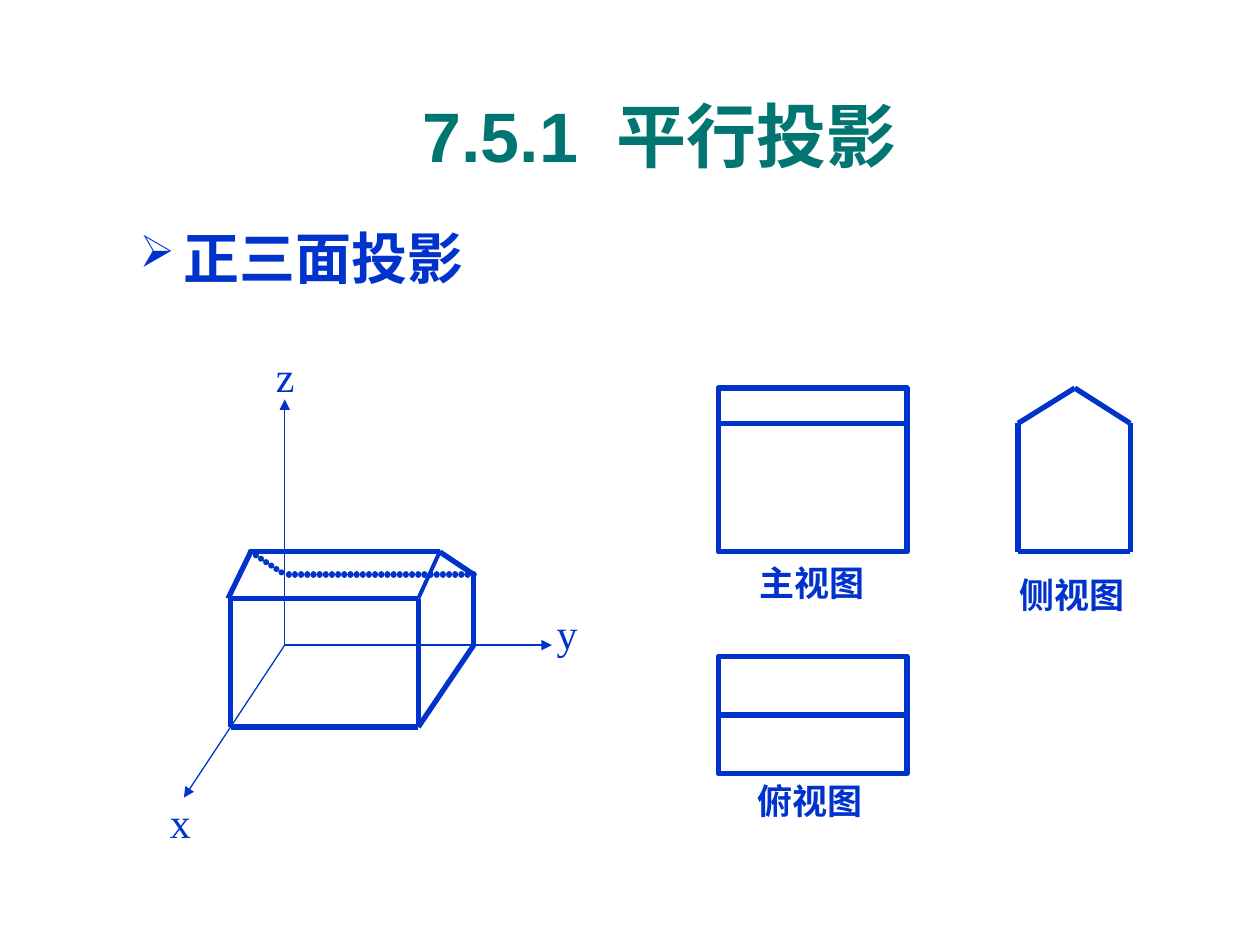
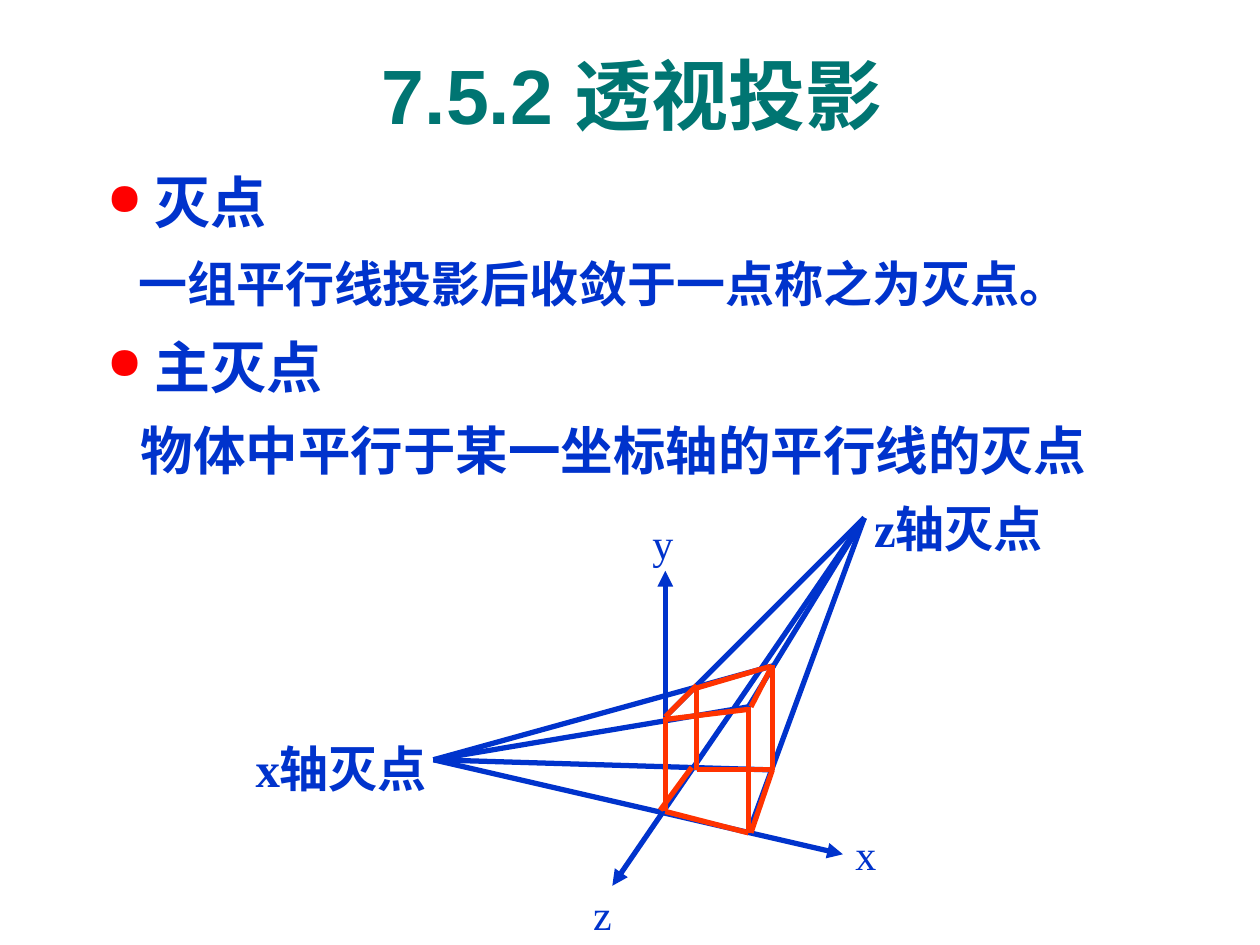
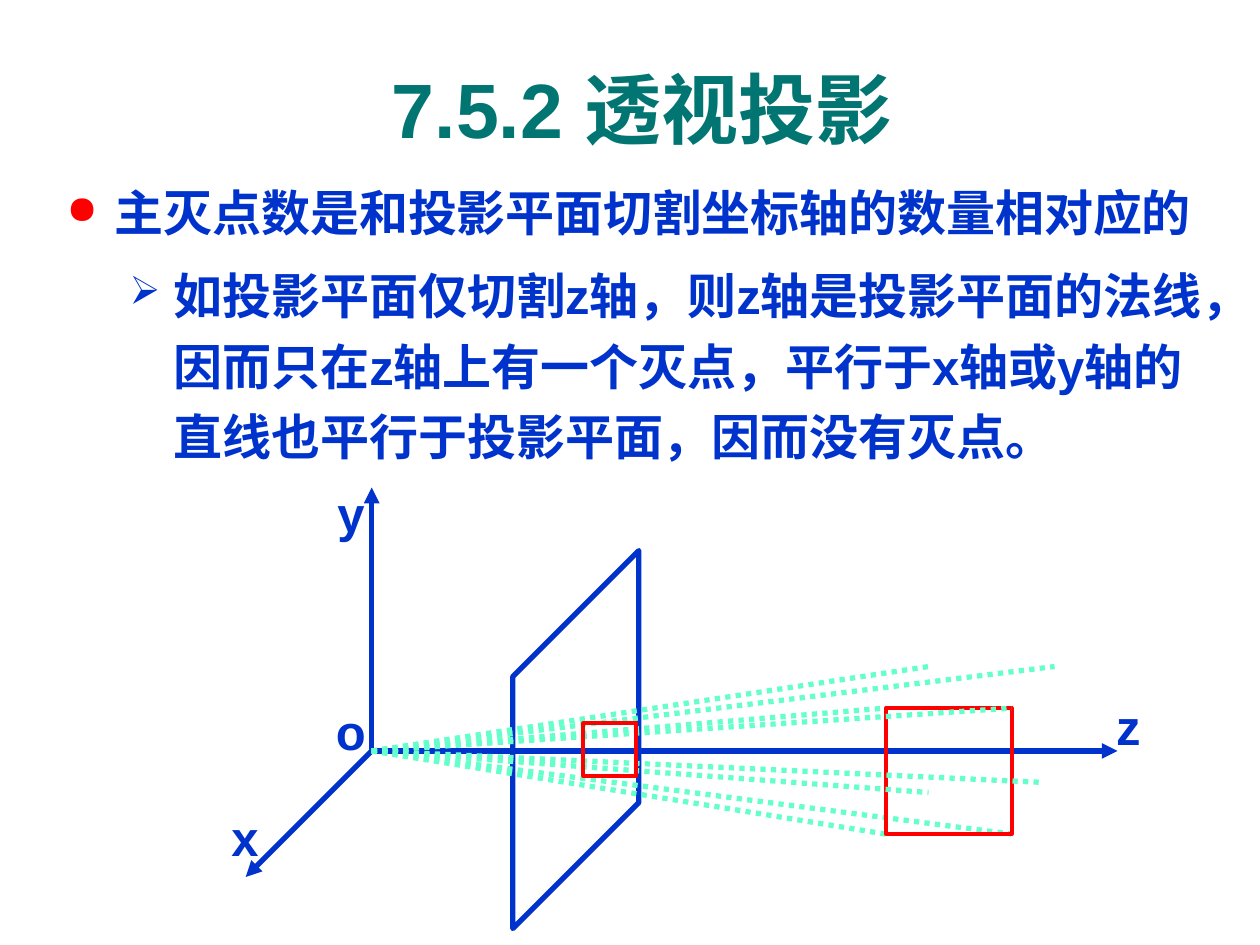
import itertools

import pptx
import pptx.dml.color
import pptx.enum.shapes
import pptx.enum.text
import pptx.oxml
import pptx.util
from pptx.util import Inches

BLUE, TEAL, RED, ORANGE, MINT = "0033CC", "007572", "FF0000", "FF3300", "66FFCC"
SANS, SERIF = "Arial", "Times New Roman"
NS = 'xmlns:a="http://schemas.openxmlformats.org/drawingml/2006/main"'

# Titles: box, size, number, name, extra width of the gap between them
PARALLEL_TITLE = ((1.22, 0.68, 8.03, 0.77), 40, "7.5.1", "平行投影", 11)
PERSPECTIVE_TITLES = [
    (box, 44, "7.5.2", "透视投影", 0)
    for box in [(0.35, 0.33, 9.34, 0.83), (0.43, 0.44, 9.34, 0.83)]
]

# Bullets: character, colour, left margin, first-line indent
DOT = ("●", RED, 0.38, -0.38)
ARROW = ("➢", BLUE, 0.85, -0.35)

# Body paragraphs: text, size, bullet or plain left margin, space before
PARALLEL_BODY = [("正三面投影", 32, ARROW, 0)]
VANISHING_BODY = [
    ("灭点", 32, DOT, 0),
    ("一组平行线投影后收敛于一点称之为灭点。", 28, 0.25, 7),
    ("主灭点", 32, DOT, 8),
    ("物体中平行于某一坐标轴的平行线的灭点", 30, 0.27, 7),
]
ONE_POINT_BODY = [
    ("主灭点数是和投影平面切割坐标轴的数量相对应的", 28, DOT, 0),
    ("如投影平面仅切割z轴，则z轴是投影平面的法线，因而只在z轴上有一个灭点，"
     "平行于x轴或y轴的直线也平行于投影平面，因而没有灭点。", 28, ARROW, 7),
]

# Slide 1: three views and the house they show
VIEW_NAMES = [
    ("主视图", (5.93, 4.41, 1.33, 0.44)),
    ("侧视图", (7.99, 4.5, 1.33, 0.44)),
    ("俯视图", (5.91, 6.14, 1.41, 0.44)),
]
FRONT_WALL = (5.7, 3.36, 1.5, 1.02)
FRONT_ROOF = (5.7, 3.08, 1.5, 0.28)
TOP_VIEW = (5.7, 5.21, 1.5, 0.93)
SIDE_VIEW = [(8.08, 3.36), (8.08, 4.38), (8.97, 4.38), (8.97, 3.36),
             (8.53, 3.08), (8.08, 3.36)]
HOUSE_ORIGIN = (2.26, 5.12)
HOUSE_AXES = [
    ("z", (2.26, 3.17), (2.09, 2.73, 0.35, 0.5)),
    ("y", (4.38, 5.12), (4.32, 4.77, 0.44, 0.5)),
    ("x", (1.46, 6.33), (1.25, 6.27, 0.35, 0.5)),
]
HOUSE_FRONT = [(1.83, 4.75), (1.83, 5.77), (3.32, 5.77), (3.32, 4.75), (1.81, 4.75)]
HOUSE_BACK = [(1.81, 4.75), (1.99, 4.38), (3.49, 4.38), (3.76, 4.56),
              (3.76, 5.12), (3.32, 5.77)]
HOUSE_GABLE = [(3.32, 4.75), (3.49, 4.38)]
HOUSE_HIDDEN = [[(1.99, 4.38), (2.26, 4.56)], [(3.76, 4.56), (2.25, 4.56)]]

# Slide 2: rays to both vanishing points, and the box
X_VANISHING, Z_VANISHING = (3.44, 6.03), (6.86, 4.11)
X_RAYS = [(5.94, 5.61), (6.15, 5.28), (6.11, 6.11)]
Z_RAYS = [(5.28, 5.69), (5.94, 5.61), (5.94, 6.61)]
VANISHING_AXES = [
    ("y", (5.28, 6.44), (5.28, 4.53), (5.08, 4.06, 0.42, 0.5)),
    ("z", Z_VANISHING, (4.86, 7.03), (4.61, 7, 0.42, 0.5)),
    ("x", X_VANISHING, (6.69, 6.78), (6.69, 6.53, 0.42, 0.5)),
]
VANISHING_NAMES = [
    ("z轴灭点", (6.84, 3.91, 1.7, 0.57)),
    ("x轴灭点", (1.93, 5.81, 1.74, 0.57)),
]
BOX_EDGES = [
    [(5.28, 6.44), (5.94, 6.61), (5.94, 5.61)],
    [(5.28, 5.71), (5.94, 5.63)],
    [(5.24, 6.43), (5.49, 6.09)],
    [(5.28, 6.44), (5.28, 5.69), (5.53, 5.44), (5.53, 6.11), (6.11, 6.11)],
    [(5.53, 5.46), (6.11, 5.29)],
    [(5.96, 5.61), (6.13, 5.28), (6.13, 6.11), (5.96, 6.61)],
]

# Slide 3: one-point perspective
EYE = (2.95, 5.96)
EYE_AXES = [
    ("y", (2.95, 3.87), (2.37, 3.79, 0.83, 0.57)),
    ("z", (8.87, 5.96), (8.54, 5.48, 0.83, 0.57)),
    ("x", (1.95, 6.96), (1.53, 6.36, 0.83, 0.57)),
]
EYE_NAME = ("o", (2.37, 5.52, 0.83, 0.57))
PROJECTION_PLANE = [(4.07, 7.37), (5.07, 6.37), (5.07, 4.37), (4.07, 5.37)]
RAYS_BEHIND = [(7.03, 6.62), (8.03, 6.62), (7.03, 5.62)]
RAYS_ABOVE = [(7.37, 5.29), (8.28, 6.21), (8.03, 5.62), (8.37, 5.29), (7.37, 6.29)]
FACE = (7.03, 5.62, 1, 1)
PROJECTED_FACE = (4.63, 5.74, 0.42, 0.42)


def rgb(color):
    return pptx.dml.color.RGBColor.from_string(color)


def add_xml(parent, xml):
    parent.append(pptx.oxml.parse_xml(xml.replace("/>", f" {NS}/>", 1)
                                      if xml.count("<") == 1
                                      else xml.replace(">", f" {NS}>", 1)))


def add_box(slide, box):
    frame = slide.shapes.add_textbox(*map(Inches, box)).text_frame
    frame.word_wrap = True
    return frame


def add_run(paragraph, text, size, color=BLUE, font=SANS, bold=True, spacing=0):
    run = paragraph.add_run()
    run.text = text
    run.font.size = pptx.util.Pt(size)
    run.font.name = font
    run.font.bold = bold
    run.font.color.rgb = rgb(color)
    properties = run._r.get_or_add_rPr()
    properties.set("lang", "zh-CN")
    if spacing:
        properties.set("spc", str(spacing * 100))


def add_title(slide, box, size, number, name, gap):
    frame = add_box(slide, box)
    frame.vertical_anchor = pptx.enum.text.MSO_ANCHOR.MIDDLE
    paragraph = frame.paragraphs[0]
    paragraph.alignment = pptx.enum.text.PP_ALIGN.CENTER
    for text, spacing in [(number, 0), (" ", gap), (name, 0)]:
        add_run(paragraph, text, size, TEAL, spacing=spacing)


def add_body(slide, box, items, line_spacing):
    frame = add_box(slide, box)
    for index, (text, size, bullet, before) in enumerate(items):
        paragraph = frame.add_paragraph() if index else frame.paragraphs[0]
        properties = paragraph._p.get_or_add_pPr()
        margin, indent = bullet, 0
        if isinstance(bullet, tuple):
            character, color, margin, indent = bullet
            add_xml(properties, f'<a:buClr><a:srgbClr val="{color}"/></a:buClr>')
            add_xml(properties, '<a:buSzPct val="80000"/>')
            add_xml(properties, f'<a:buChar char="{character}"/>')
        properties.set("marL", str(Inches(margin)))
        properties.set("indent", str(Inches(indent)))
        paragraph.line_spacing = line_spacing
        paragraph.space_before = pptx.util.Pt(before)
        add_run(paragraph, text, size)


def add_label(slide, text, box, size, font=SERIF, bold=True, centred=False):
    paragraph = add_box(slide, box).paragraphs[0]
    if centred:
        paragraph.alignment = pptx.enum.text.PP_ALIGN.CENTER
    add_run(paragraph, text, size, font=font, bold=bold)


def outline(shape, color, width):
    shape.shadow.inherit = False
    shape.fill.background()
    shape.line.color.rgb = rgb(color)
    shape.line.width = pptx.util.Pt(width)
    return shape


def add_rectangle(slide, box, color=BLUE, width=3):
    kind = pptx.enum.shapes.MSO_SHAPE.RECTANGLE
    return outline(slide.shapes.add_shape(kind, *map(Inches, box)), color, width)


def add_line(slide, start, end, color=BLUE, width=3, dash="", arrow=False, cap="flat"):
    line = slide.shapes.add_connector(
        pptx.enum.shapes.MSO_CONNECTOR.STRAIGHT, *map(Inches, start + end))
    line.line.color.rgb = rgb(color)
    line.line.width = pptx.util.Pt(width)
    stroke = line.line._get_or_add_ln()
    stroke.set("cap", cap)
    if dash:
        add_xml(stroke, dash)
    if arrow:
        add_xml(stroke, '<a:tailEnd type="triangle"/>')
    add_xml(line._element.spPr, "<a:effectLst/>")
    return line


def add_path(slide, points, **style):
    """Join consecutive points by straight lines."""
    for start, end in itertools.pairwise(points):
        add_line(slide, start, end, **style)


def build_parallel(slide):
    add_title(slide, *PARALLEL_TITLE)
    add_body(slide, (0.51, 1.62, 9.13, 0.74), PARALLEL_BODY, 1.2)
    add_rectangle(slide, FRONT_WALL)
    add_rectangle(slide, FRONT_ROOF)
    add_path(slide, SIDE_VIEW)
    top_view = add_rectangle(slide, TOP_VIEW)
    left, top, width, height = TOP_VIEW
    middle = top + height / 2
    ridge = add_line(slide, (left, middle), (left + width, middle))
    ridge.begin_connect(top_view, 1)
    ridge.end_connect(top_view, 3)
    for name, box in VIEW_NAMES:
        add_label(slide, name, box, 20)
    for name, end, box in HOUSE_AXES:
        add_line(slide, HOUSE_ORIGIN, end, width=0.75, arrow=True)
        add_label(slide, name, box, 24, bold=False)
    add_path(slide, HOUSE_FRONT)
    add_path(slide, HOUSE_BACK)
    add_path(slide, HOUSE_GABLE, width=2.25)
    dots = '<a:custDash><a:ds d="100000" sp="1000"/></a:custDash>'
    for edge in HOUSE_HIDDEN:
        add_path(slide, edge, width=3.5, dash=dots, cap="rnd")


def build_vanishing(slide):
    add_body(slide, (0.75, 1.23, 8.53, 2.64), VANISHING_BODY, 1.1)
    for origin, ends in [(X_VANISHING, X_RAYS), (Z_VANISHING, Z_RAYS)]:
        for end in ends:
            add_line(slide, origin, end)
    for name, start, end, box in VANISHING_AXES:
        add_line(slide, start, end, arrow=True)
        add_label(slide, name, box, 24, bold=False)
    for edge in BOX_EDGES:
        add_path(slide, edge, color=ORANGE)
    for name, box in VANISHING_NAMES:
        add_label(slide, name, box, 28)
    add_title(slide, *PERSPECTIVE_TITLES[0])


def add_rays(slide, ends):
    for end in ends:
        add_line(slide, EYE, end, MINT, dash='<a:prstDash val="sysDot"/>')


def build_one_point(slide):
    add_body(slide, (0.43, 1.31, 9.29, 2.44), ONE_POINT_BODY, 1.2)
    for name, end, box in EYE_AXES:
        add_line(slide, EYE, end, arrow=True)
        add_label(slide, name, box, 28, SANS, centred=True)
    add_label(slide, *EYE_NAME, 28, SANS, centred=True)
    corners = [tuple(map(Inches, corner)) for corner in PROJECTION_PLANE]
    plane = slide.shapes.build_freeform(*corners[0])
    plane.add_line_segments(corners[1:], close=True)
    outline(plane.convert_to_shape(), BLUE, 3)
    add_rays(slide, RAYS_BEHIND)
    add_rectangle(slide, FACE, RED, 2.25)
    add_rays(slide, RAYS_ABOVE)
    add_rectangle(slide, PROJECTED_FACE, RED, 2.25)
    add_title(slide, *PERSPECTIVE_TITLES[1])


def main():
    deck = pptx.Presentation()
    deck.slide_width, deck.slide_height = Inches(10), Inches(7.5)
    for build in (build_parallel, build_vanishing, build_one_point):
        build(deck.slides.add_slide(deck.slide_layouts[6]))
    deck.save("out.pptx")


if __name__ == "__main__":
    main()
